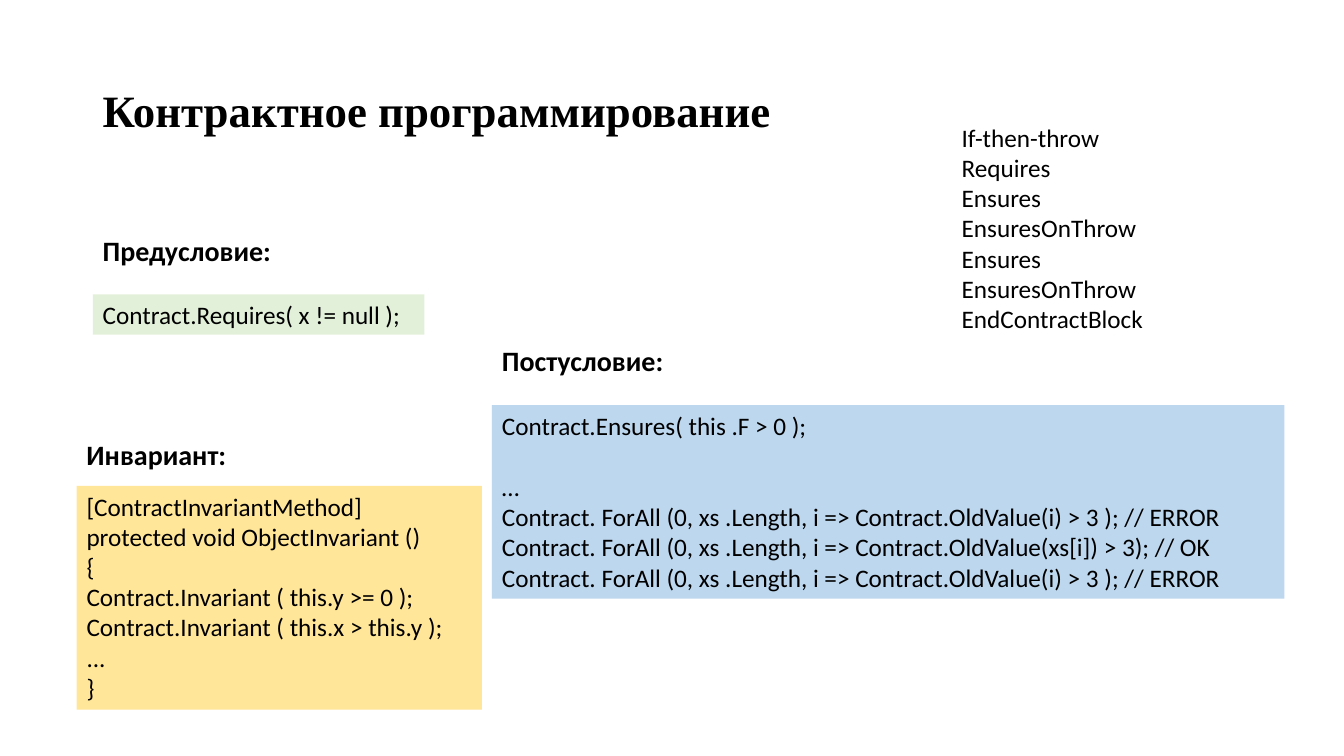
from pptx import Presentation
from pptx.dml.color import RGBColor
from pptx.enum.text import MSO_ANCHOR
from pptx.util import Inches, Pt

MIDDLE = MSO_ANCHOR.MIDDLE
BLACK = RGBColor(0x00, 0x00, 0x00)
GREEN = RGBColor(0xE2, 0xF0, 0xD9)
BLUE = RGBColor(0xBD, 0xD7, 0xEE)
YELLOW = RGBColor(0xFF, 0xE6, 0x99)

presentation = Presentation()
presentation.slide_width = Inches(13.33)
presentation.slide_height = Inches(7.5)
slide = presentation.slides.add_slide(presentation.slide_layouts[6])


def add_text(left, top, width, height, lines, size=18, bold=False,
             font_name="Calibri", fill=None):
    shape = slide.shapes.add_textbox(
        Inches(left), Inches(top), Inches(width), Inches(height))
    if fill is not None:
        shape.fill.solid()
        shape.fill.fore_color.rgb = fill
    frame = shape.text_frame
    frame.word_wrap = True
    frame.text = "\n".join(lines)
    for paragraph in frame.paragraphs:
        paragraph.font.name = font_name
        paragraph.font.size = Pt(size)
        paragraph.font.bold = bold
        paragraph.font.color.rgb = BLACK
    return frame


# Title
title = add_text(0.92, 0.4, 11.5, 1.45, ["Контрактное программирование"],
                 size=32, bold=True, font_name="Times New Roman")
title.vertical_anchor = MIDDLE
title.paragraphs[0].line_spacing = 0.9

# Section headings
for heading, left, top in [
    ("Предусловие:", 0.92, 2.27),
    ("Постусловие:", 4.88, 3.36),
    ("Инвариант:", 0.76, 4.29),
]:
    add_text(left, top, 2, 0.44, [heading], size=20, bold=True)

# Precondition code
add_text(0.92, 2.92, 3.29, 0.4, ["Contract.Requires( x != null );"], fill=GREEN)

# Postcondition code, with a one-line gap after the first statement
index_check = ("Contract. ForAll (0, xs .Length, "
               "i => Contract.OldValue(i) > 3 ); // ERROR")
postcondition = add_text(4.88, 4.02, 7.86, 1.92, [
    "Contract.Ensures( this .F > 0 );",
    "…",
    index_check,
    "Contract. ForAll (0, xs .Length, i => Contract.OldValue(xs[i]) > 3); // OK",
    index_check,
], fill=BLUE)
postcondition.paragraphs[0].space_after = Pt(22)

# Invariant code
add_text(0.76, 4.82, 4.02, 2.22, [
    "[ContractInvariantMethod]",
    "protected void ObjectInvariant ()",
    "{",
    "Contract.Invariant ( this.y >= 0 );",
    "Contract.Invariant ( this.x > this.y );",
    "...",
    "}",
], fill=YELLOW)

# Contract order
add_text(9.44, 1.16, 2.87, 2.22, [
    "If-then-throw",
    "Requires",
    "Ensures",
    "EnsuresOnThrow",
    "Ensures",
    "EnsuresOnThrow",
    "EndContractBlock",
])

presentation.save("out.pptx")
